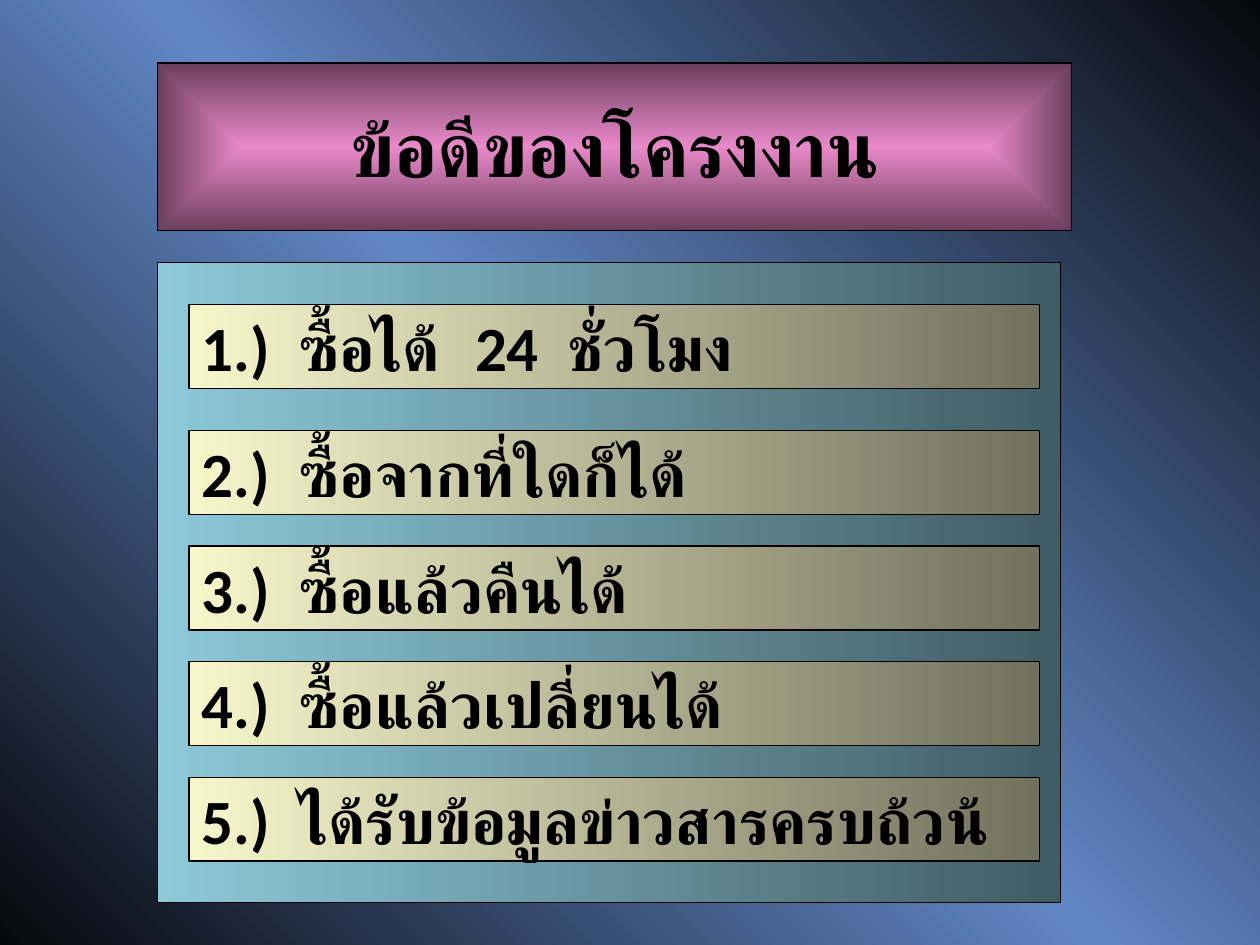
from dataclasses import dataclass

from lxml.etree import SubElement
from pptx import Presentation
from pptx.dml.color import RGBColor
from pptx.enum.shapes import MSO_SHAPE
from pptx.enum.text import MSO_ANCHOR, MSO_AUTO_SIZE, PP_ALIGN
from pptx.oxml.ns import qn
from pptx.util import Cm, Pt


@dataclass(frozen=True)
class Theme:
    font: str = "Calibri"
    ink: RGBColor = RGBColor(0, 0, 0)
    title_size: Pt = Pt(44)
    row_size: Pt = Pt(36)
    line_width: Pt = Pt(0.75)
    # Gradient stops: position in percent and colour
    backdrop: tuple = ((0, "06080C"), (50, "6187C5"), (100, "06080C"))
    banner: tuple = ((0, "E989C9"), (100, "6B3F5C"))
    panel: tuple = ((0, "405C64"), (100, "8DC9D9"))
    row: tuple = ((0, "71715D"), (100, "F7F6CB"))


THEME = Theme()
TITLE = "ข้อดีของโครงงาน"
ADVANTAGES = (
    "1.)  ซื้อได้  24  ชั่วโมง",
    "2.)  ซื้อจากที่ใดก็ได้",
    "3.)  ซื้อแล้วคืนได้",
    "4.)  ซื้อแล้วเปลี่ยนได้",
    "5.)  ได้รับข้อมูลข่าวสารครบถ้วน้",
)
ROW_TOPS = [6.14] + [8.68 + 2.33 * step for step in range(4)]


def apply_format(target, values):
    for name, value in values.items():
        setattr(target, name, value)


def set_gradient(fill, owner, stops, angle=None):
    """Fill with a linear gradient, or one from the centre if there is no angle."""
    fill.gradient()
    gradient = next(owner.iter(qn("a:gradFill")))
    for child in list(gradient):
        gradient.remove(child)
    stop_list = SubElement(gradient, qn("a:gsLst"))
    for position, colour in stops:
        stop = SubElement(stop_list, qn("a:gs"), pos=str(position * 1000))
        SubElement(stop, qn("a:srgbClr"), val=colour)
    if angle is None:
        centre = SubElement(gradient, qn("a:path"), path="rect")
        SubElement(centre, qn("a:fillToRect"),
                   dict.fromkeys("ltrb", "50000"))
    else:
        SubElement(gradient, qn("a:lin"), ang=str(angle * 60000), scaled="0")


def style_box(box, stops, angle=None):
    set_gradient(box.fill, box._element, stops, angle)
    box.line.color.rgb = THEME.ink
    box.line.width = THEME.line_width


def write_text(box, text, size, alignment):
    frame = box.text_frame
    apply_format(frame, {
        "auto_size": MSO_AUTO_SIZE.NONE,
        "word_wrap": False,
        "vertical_anchor": MSO_ANCHOR.MIDDLE,
    })
    para = frame.paragraphs[0]
    para.alignment = alignment
    span = para.add_run()
    span.text = text
    apply_format(span.font, {"name": THEME.font, "size": size, "bold": True})
    span.font.color.rgb = THEME.ink


def add_title(page):
    title = page.shapes.title
    apply_format(title, {"left": Cm(3.18), "top": Cm(1.27),
                         "width": Cm(18.42), "height": Cm(3.38)})
    style_box(title, THEME.banner)
    write_text(title, TITLE, THEME.title_size, PP_ALIGN.CENTER)


def add_box(page, left, top, width, height, stops):
    box = page.shapes.add_shape(MSO_SHAPE.RECTANGLE, Cm(left), Cm(top),
                                Cm(width), Cm(height))
    box.shadow.inherit = False
    style_box(box, stops, angle=180)
    return box


def main():
    deck = Presentation()
    apply_format(deck, {"slide_width": Cm(25.4), "slide_height": Cm(19.05)})
    page = deck.slides.add_slide(deck.slide_layouts[5])

    # Backdrop and title banner
    set_gradient(page.background.fill, page._element, THEME.backdrop, angle=135)
    add_title(page)

    # Panel with one row for each advantage
    add_box(page, 3.18, 5.29, 18.2, 12.91, THEME.panel)
    for top, text in zip(ROW_TOPS, ADVANTAGES):
        row = add_box(page, 3.81, top, 17.15, 1.69, THEME.row)
        write_text(row, text, THEME.row_size, PP_ALIGN.LEFT)

    deck.save("out.pptx")


if __name__ == "__main__":
    main()
